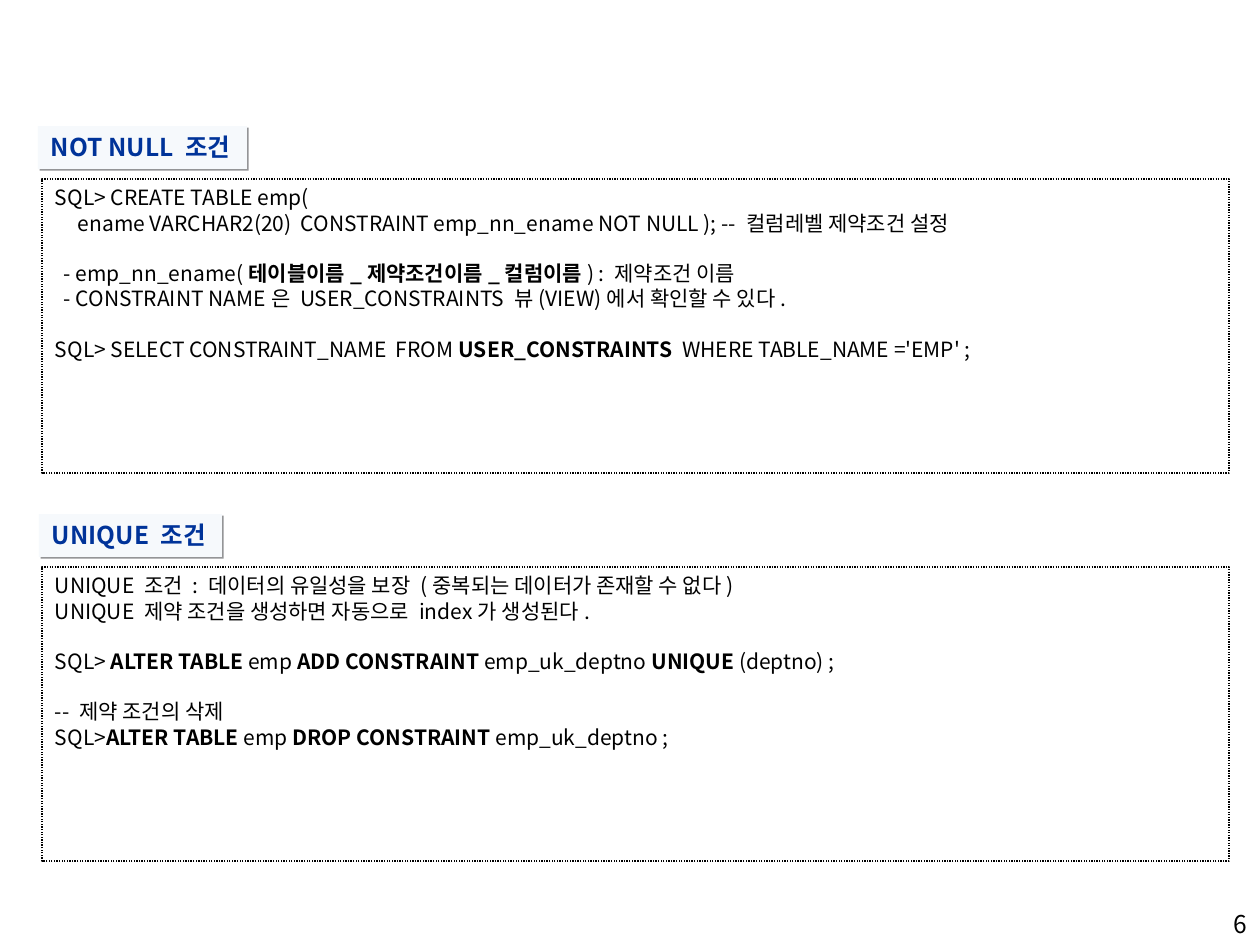
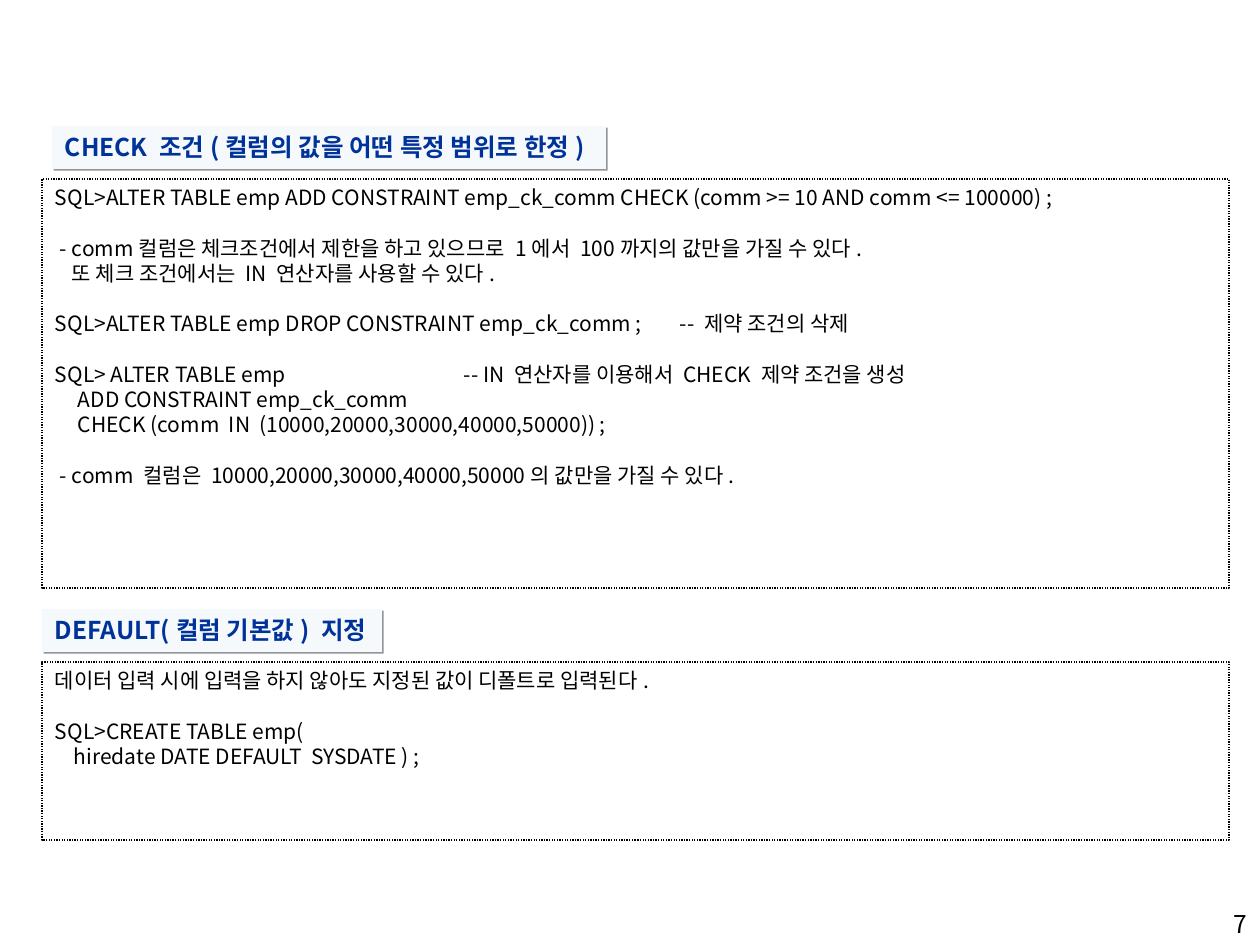
"""Build two slides on SQL column constraints, each with two headed panels."""
from lxml import etree
from pptx import Presentation
from pptx.dml.color import RGBColor
from pptx.enum.dml import MSO_LINE
from pptx.enum.shapes import MSO_SHAPE
from pptx.enum.text import MSO_ANCHOR, PP_ALIGN
from pptx.oxml.ns import qn
from pptx.util import Emu, Pt

RECTANGLE = MSO_SHAPE.RECTANGLE
DOTTED = MSO_LINE.ROUND_DOT
TOP = MSO_ANCHOR.TOP
LEFT, RIGHT = PP_ALIGN.LEFT, PP_ALIGN.RIGHT

BLACK = RGBColor(0x00, 0x00, 0x00)
HEADING_BLUE = RGBColor(0x00, 0x33, 0x99)
HEADING_FILL = RGBColor(0xF6, 0xF9, 0xFC)
SHADOW_GRAY = RGBColor(0x94, 0x95, 0x97)
FONT = "Noto Sans CJK KR"
BODY_SIZE, HEADING_SIZE = 12, 14
LINE_FACTOR = 1.2

PX_PER_INCH = 126
SLIDE_WIDTH, SLIDE_HEIGHT = 1260, 945
PANEL_LEFT, PANEL_WIDTH = 42, 1187
HEADING_RISE, HEADING_HEIGHT = 53, 43
PAGE_NUMBER_BOX = (998, 903, 262, 63)
INSET_X, INSET_Y = 13, 6

# Each panel line is (text, indent, gap before, tab stop); ** switches bold.
SLIDES = [
    ("6", [
        {"heading": "NOT NULL 조건", "heading_left": 38, "heading_width": 209,
         "top": 179, "height": 294, "lines": [
             ("SQL> CREATE TABLE emp(", 0, False, None),
             ("ename VARCHAR2(20)  CONSTRAINT emp_nn_ename NOT NULL ); -- 컬럼레벨 제약조건 설정",
              23, False, None),
             ("- emp_nn_ename(**테이블이름_제약조건이름_컬럼이름**) : 제약조건 이름", 9, True, None),
             ("- CONSTRAINT NAME은 USER_CONSTRAINTS 뷰(VIEW)에서 확인할 수 있다.", 9, False, None),
             ("SQL> SELECT CONSTRAINT_NAME  FROM **USER_CONSTRAINTS**  WHERE TABLE_NAME ='EMP' ;",
              0, True, None),
         ]},
        {"heading": "UNIQUE 조건", "heading_left": 39, "heading_width": 183,
         "top": 567, "height": 294, "lines": [
             ("UNIQUE 조건 : 데이터의 유일성을 보장 (중복되는 데이터가 존재할 수 없다)", 0, False, None),
             ("UNIQUE 제약 조건을 생성하면 자동으로 index가 생성된다.", 0, False, None),
             ("SQL> **ALTER TABLE** emp **ADD CONSTRAINT** emp_uk_deptno **UNIQUE** (deptno) ;",
              0, True, None),
             ("-- 제약 조건의 삭제", 0, True, None),
             ("SQL>**ALTER TABLE** emp **DROP CONSTRAINT** emp_uk_deptno ;", 0, False, None),
         ]},
    ]),
    ("7", [
        {"heading": "CHECK 조건(컬럼의 값을 어떤 특정 범위로 한정)", "heading_left": 52,
         "heading_width": 554, "top": 179, "height": 409, "lines": [
             ("SQL>ALTER TABLE emp ADD CONSTRAINT emp_ck_comm CHECK (comm >= 10 AND comm <= 100000) ;",
              0, False, None),
             ("- comm컬럼은 체크조건에서 제한을 하고 있으므로 1에서 100까지의 값만을 가질 수 있다.",
              5, True, None),
             ("또 체크 조건에서는 IN 연산자를 사용할 수 있다.", 17, False, None),
             ("SQL>ALTER TABLE emp DROP CONSTRAINT emp_ck_comm ;\t-- 제약 조건의 삭제", 0, True, 625),
             ("SQL> ALTER TABLE emp\t-- IN 연산자를 이용해서 CHECK 제약 조건을 생성", 0, True, 409),
             ("ADD CONSTRAINT emp_ck_comm", 23, False, None),
             ("CHECK (comm  IN  (10000,20000,30000,40000,50000)) ;", 23, False, None),
             ("- comm 컬럼은 10000,20000,30000,40000,50000의 값만을 가질 수 있다.", 5, True, None),
         ]},
        {"heading": "DEFAULT(컬럼 기본값) 지정", "heading_left": 42, "heading_width": 340,
         "top": 662, "height": 178, "lines": [
             ("데이터 입력 시에 입력을 하지 않아도 지정된 값이 디폴트로 입력된다.", 0, False, None),
             ("SQL>CREATE TABLE emp(", 0, True, None),
             ("hiredate DATE DEFAULT  SYSDATE ) ;", 19, False, None),
         ]},
    ]),
]


def px(length):
    return Emu(round(length * 914400 / PX_PER_INCH))


def set_frame(text_frame, wrap):
    text_frame.word_wrap = wrap
    text_frame.vertical_anchor = TOP
    text_frame.margin_left = text_frame.margin_right = px(INSET_X)
    text_frame.margin_top = text_frame.margin_bottom = px(INSET_Y)


def write_line(paragraph, text, size, color, bold=False, align=LEFT):
    paragraph.alignment = align
    paragraph.line_spacing = Pt(size * LINE_FACTOR)
    for index, part in enumerate(text.split("**")):
        run = paragraph.add_run()
        run.text = part
        run.font.size = Pt(size)
        run.font.bold = bold or index % 2 == 1
        run.font.color.rgb = color
        run.font.name = FONT
        properties = run.font._element
        etree.SubElement(properties, qn("a:ea"), typeface=FONT)


def add_tab_stop(paragraph, position):
    tabs = etree.SubElement(paragraph._p.get_or_add_pPr(), qn("a:tabLst"))
    etree.SubElement(tabs, qn("a:tab"), pos=str(px(position)), algn="l")


def add_rectangle(slide, left, top, width, height):
    shape = slide.shapes.add_shape(RECTANGLE, px(left), px(top), px(width), px(height))
    shape.shadow.inherit = False
    return shape


def add_heading_shadow(shape):
    effects = shape._element.spPr.find(qn("a:effectLst"))
    shadow = etree.SubElement(effects, qn("a:outerShdw"), blurRad="0",
                              dist=str(Pt(1.4)), dir="2700000", algn="ctr", rotWithShape="0")
    etree.SubElement(shadow, qn("a:srgbClr"), val=str(SHADOW_GRAY))


def add_panel(slide, panel):
    body = add_rectangle(slide, PANEL_LEFT, panel["top"], PANEL_WIDTH, panel["height"])
    body.fill.background()
    body.line.color.rgb = BLACK
    body.line.width = Pt(0.75)
    body.line.dash_style = DOTTED
    text_frame = body.text_frame
    set_frame(text_frame, True)
    for index, (text, indent, gap, tab) in enumerate(panel["lines"]):
        paragraph = text_frame.add_paragraph() if index else text_frame.paragraphs[0]
        write_line(paragraph, text, BODY_SIZE, BLACK)
        paragraph.space_before = Pt(BODY_SIZE * LINE_FACTOR if gap else 0)
        if indent:
            paragraph._p.get_or_add_pPr().set("marL", str(px(indent)))
        if tab:
            add_tab_stop(paragraph, tab)

    heading = add_rectangle(slide, panel["heading_left"], panel["top"] - HEADING_RISE,
                            panel["heading_width"], HEADING_HEIGHT)
    heading.fill.solid()
    heading.fill.fore_color.rgb = HEADING_FILL
    heading.line.fill.background()
    add_heading_shadow(heading)
    set_frame(heading.text_frame, False)
    write_line(heading.text_frame.paragraphs[0], panel["heading"], HEADING_SIZE,
               HEADING_BLUE, bold=True)


def add_page_number(slide, number):
    box = slide.shapes.add_textbox(*map(px, PAGE_NUMBER_BOX))
    set_frame(box.text_frame, True)
    write_line(box.text_frame.paragraphs[0], number, HEADING_SIZE, BLACK, align=RIGHT)


def main():
    presentation = Presentation()
    presentation.slide_width = px(SLIDE_WIDTH)
    presentation.slide_height = px(SLIDE_HEIGHT)
    for number, panels in SLIDES:
        slide = presentation.slides.add_slide(presentation.slide_layouts[6])
        add_page_number(slide, number)
        for panel in panels:
            add_panel(slide, panel)
    presentation.save("out.pptx")


if __name__ == "__main__":
    main()
